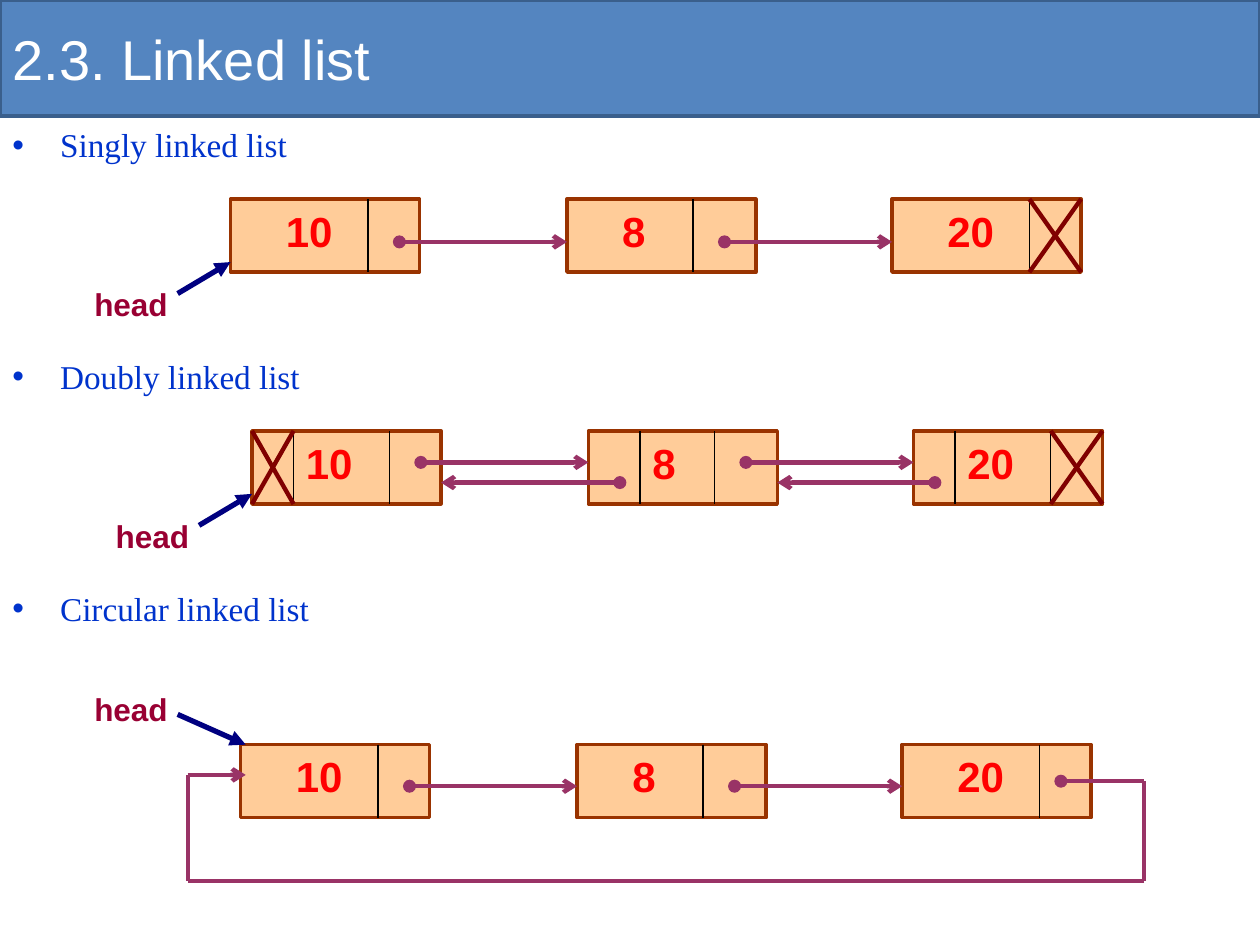
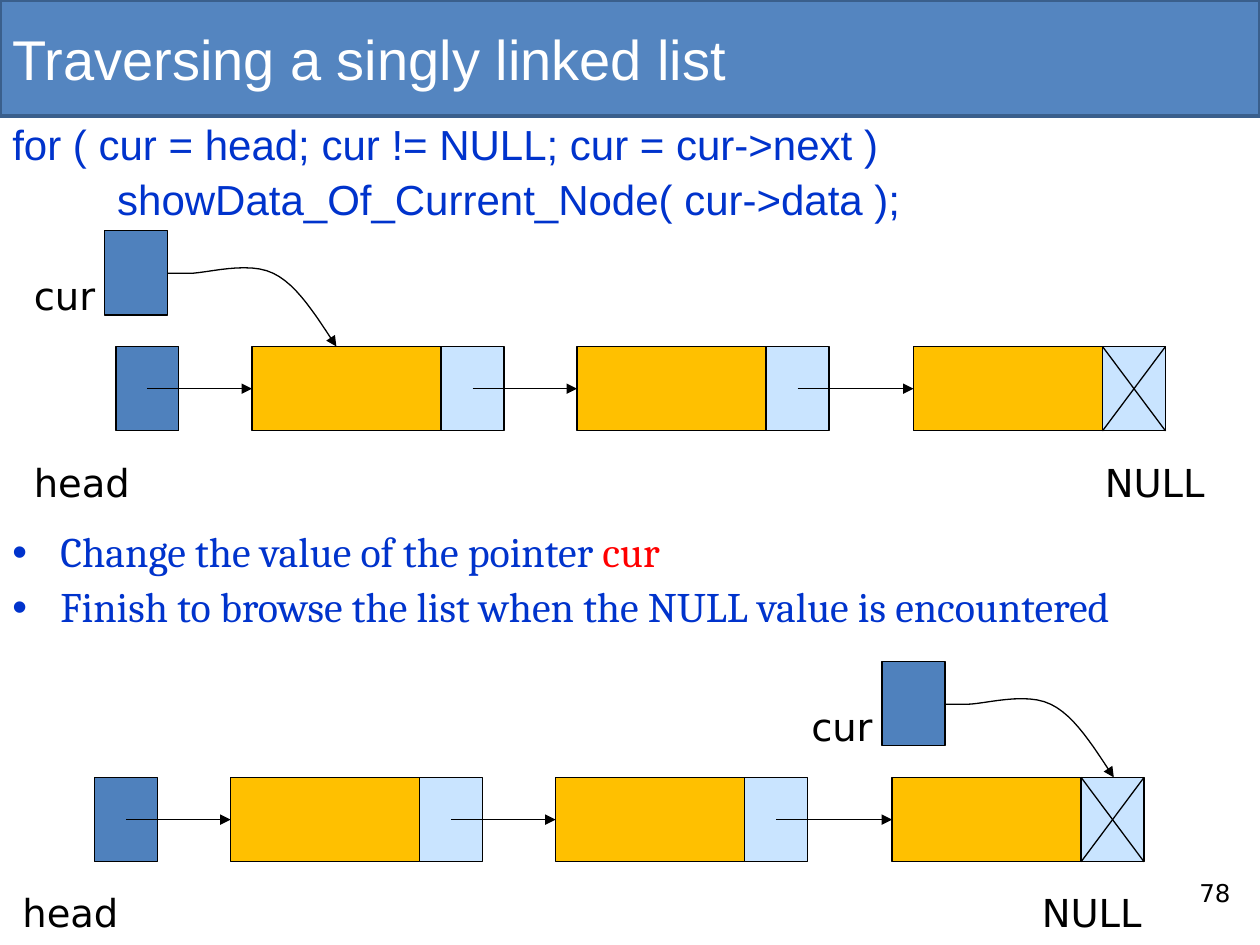
import dataclasses
import itertools

import lxml.etree
import pptx
import pptx.dml.color
import pptx.enum.shapes
import pptx.enum.text
import pptx.oxml.ns
import pptx.util

Inches = pptx.util.Inches
ALIGN = pptx.enum.text.PP_ALIGN
ANCHOR = pptx.enum.text.MSO_ANCHOR


@dataclasses.dataclass(frozen=True)
class Theme:
    band: str = "5485C0"
    band_edge: str = "3A5F8C"
    white: str = "FFFFFF"
    black: str = "000000"
    body: str = "0033CC"
    red: str = "FF0000"
    node_fill: str = "FFCC99"
    node_edge: str = "993300"
    link: str = "993366"
    null_cross: str = "800000"
    head_label: str = "990033"
    head_arrow: str = "000080"
    data_cell: str = "FFC000"
    next_cell: str = "C9E4FF"
    pointer_cell: str = "4F81BD"
    sans: str = "Arial"
    serif: str = "Times New Roman"
    bullet_serif: str = "Cambria"
    label_font: str = "DejaVu Sans"
    title_size: float = 32
    body_size: float = 24
    label_size: float = 22
    list_size: float = 19
    head_size: float = 18
    page_size: float = 14
    thin: float = 0.75
    edge: float = 2
    thick: float = 2.5
    head_width: float = 3


THEME = Theme()

NODE_WIDTH, NODE_HEIGHT = 1.5, 0.58
NODE_OFFSETS = (0, 2.67, 5.25)
NODE_VALUES = ("10", "8", "20")
NEXT_DIVIDERS = (1.09, 1.0, 1.09)
PREVIOUS_DIVIDERS = (0.33, 0.41, 0.33)

CELL_OFFSETS = (1.08, 3.66, 6.33)
DATA_WIDTH, POINTER_WIDTH, CELL_HEIGHT = 1.5, 0.5, 0.67


def rgb(color):
    return pptx.dml.color.RGBColor.from_string(color)


def add_element(parent, tag, **attributes):
    element = lxml.etree.SubElement(parent, pptx.oxml.ns.qn(tag))
    for name, value in attributes.items():
        element.set(name, str(value))
    return element


def add_text(slide, box, paragraphs, *, size, color, font=THEME.sans, bold=False,
             align=ALIGN.LEFT, anchor=ANCHOR.TOP, bullet=False, line_spacing=None,
             gap=0, inset=True):
    """Each paragraph is a string or a list of (text, color) runs."""
    shape = slide.shapes.add_textbox(*map(Inches, box))
    frame = shape.text_frame
    frame.word_wrap = True
    frame.vertical_anchor = anchor
    if not inset:
        frame.margin_left = frame.margin_right = 0
        frame.margin_top = frame.margin_bottom = 0
    for index, content in enumerate(paragraphs):
        paragraph = frame.add_paragraph() if index else frame.paragraphs[0]
        if bullet:
            properties = paragraph._p.get_or_add_pPr()
            properties.set("marL", str(Inches(0.38)))
            properties.set("indent", str(-Inches(0.38)))
            add_element(properties, "a:buFont", typeface=THEME.sans)
            add_element(properties, "a:buChar", char="•")
        paragraph.alignment = align
        if line_spacing:
            paragraph.line_spacing = line_spacing
        if index and gap:
            paragraph.space_before = pptx.util.Pt(gap)
        runs = [(content, color)] if isinstance(content, str) else content
        for text, run_color in runs:
            run = paragraph.add_run()
            run.text = text
            run.font.name = font
            run.font.size = pptx.util.Pt(size)
            run.font.bold = bold
            run.font.color.rgb = rgb(run_color)


def style_line(line, color, width, head=None, tail=None):
    line.color.rgb = rgb(color)
    line.width = pptx.util.Pt(width)
    properties = line._get_or_add_ln()
    for tag, kind in (("a:headEnd", head), ("a:tailEnd", tail)):
        if kind:
            add_element(properties, tag, type=kind)


def add_rectangle(slide, box, fill, edge=THEME.black, width=THEME.thin):
    shape = slide.shapes.add_shape(pptx.enum.shapes.MSO_SHAPE.RECTANGLE, *map(Inches, box))
    shape.shadow.inherit = False
    shape.fill.solid()
    shape.fill.fore_color.rgb = rgb(fill)
    style_line(shape.line, edge, width)


def add_line(slide, start, end, color=THEME.black, width=THEME.thin, head=None, tail=None):
    connector = slide.shapes.add_connector(
        pptx.enum.shapes.MSO_CONNECTOR.STRAIGHT, *map(Inches, (*start, *end)))
    style_line(connector.line, color, width, head, tail)
    add_element(connector._element.spPr, "a:effectLst")


def add_cross(slide, box, color=THEME.black, width=THEME.thin):
    left, top, box_width, height = box
    right, bottom = left + box_width, top + height
    add_line(slide, (left, top), (right, bottom), color, width)
    add_line(slide, (right, top), (left, bottom), color, width)


def add_link(slide, start, end):
    add_line(slide, start, end, THEME.link, THEME.thick, "oval", "arrow")


def add_title(slide, title):
    box = (0, 0, 10, 0.92)
    add_rectangle(slide, box, THEME.band, THEME.band_edge, THEME.edge)
    add_text(slide, box, [title], size=THEME.title_size, color=THEME.white,
             anchor=ANCHOR.MIDDLE)


def add_head(slide, label_left, label_top, start, end):
    add_text(slide, (label_left, label_top, 0.74, 0.35), ["head"], size=THEME.head_size,
             color=THEME.head_label, bold=True, align=ALIGN.CENTER,
             anchor=ANCHOR.MIDDLE, inset=False)
    add_line(slide, start, end, THEME.head_arrow, THEME.head_width, tail="triangle")


def add_head_below(slide, left, top):
    add_head(slide, left - 1.16, top + 0.66, (left - 0.42, top + 0.75), (left, top + 0.5))


def add_nodes(slide, left, top, link_drop, value_offsets=(0.34, 0.34, 0.34)):
    """Draw the three nodes with their values, next fields and forward links."""
    lefts = [left + offset for offset in NODE_OFFSETS]
    for node_left, value, divider, value_offset in zip(
            lefts, NODE_VALUES, NEXT_DIVIDERS, value_offsets):
        add_rectangle(slide, (node_left, top, NODE_WIDTH, NODE_HEIGHT),
                      THEME.node_fill, THEME.node_edge, THEME.edge)
        add_line(slide, (node_left + divider, top), (node_left + divider, top + NODE_HEIGHT))
        add_text(slide, (node_left + value_offset, top, 0.67, 0.5), [value],
                 size=THEME.body_size, color=THEME.red, bold=True)
    y = top + link_drop
    for (start, end), divider in zip(itertools.pairwise(lefts), NEXT_DIVIDERS):
        add_link(slide, (start + divider + 0.25, y), (end, y))


def add_null_cross(slide, left, top, width):
    add_cross(slide, (left, top, width, NODE_HEIGHT), THEME.null_cross, THEME.thick)


def add_last_null(slide, left, top):
    divider = NEXT_DIVIDERS[-1]
    add_null_cross(slide, left + NODE_OFFSETS[-1] + divider, top, NODE_WIDTH - divider)


def add_singly_list(slide, left, top):
    add_nodes(slide, left, top, 0.34)
    add_last_null(slide, left, top)
    add_head_below(slide, left, top)


def add_doubly_list(slide, left, top):
    add_nodes(slide, left, top, 0.25, PREVIOUS_DIVIDERS)
    lefts = [left + offset for offset in NODE_OFFSETS]
    for node_left, divider in zip(lefts, PREVIOUS_DIVIDERS):
        x = node_left + divider
        add_line(slide, (x, top), (x, top + NODE_HEIGHT))
    y = top + 0.41
    for (target, source), divider in zip(itertools.pairwise(lefts), PREVIOUS_DIVIDERS[1:]):
        add_link(slide, (source + divider - 0.16, y), (target + NODE_WIDTH, y))
    add_null_cross(slide, left, top, PREVIOUS_DIVIDERS[0])
    add_last_null(slide, left, top)
    add_head_below(slide, left, top)


def add_circular_list(slide, left, top):
    add_nodes(slide, left, top, 0.33)
    add_head(slide, left - 1.24, top - 0.46, (left - 0.5, top - 0.24), (left + 0.04, top))
    route = [(left + x, top + y) for x, y in (
        (6.51, 0.29), (7.17, 0.29), (7.17, 1.08), (-0.42, 1.08), (-0.42, 0.24), (0.04, 0.24))]
    segments = list(itertools.pairwise(route))
    for index, (start, end) in enumerate(segments):
        add_line(slide, start, end, THEME.link, THEME.thick,
                 head="oval" if index == 0 else None,
                 tail="arrow" if index == len(segments) - 1 else None)


def add_label(slide, left, top, text):
    add_text(slide, (left, top, 1.25, 0.47), [text], size=THEME.label_size,
             color=THEME.black, font=THEME.label_font)


def bezier_points(start, control_1, control_2, end, steps=12):
    for step in range(1, steps + 1):
        t = step / steps
        weights = ((1 - t) ** 3, 3 * t * (1 - t) ** 2, 3 * t * t * (1 - t), t ** 3)
        yield tuple(sum(weight * point[axis] for weight, point in
                        zip(weights, (start, control_1, control_2, end)))
                    for axis in (0, 1))


def add_current_pointer(slide, left, top):
    """Draw the cur cell and the curved arrow to the node it refers to."""
    add_rectangle(slide, (left, top, POINTER_WIDTH, CELL_HEIGHT), THEME.pointer_cell)
    add_label(slide, left - 0.66, top + 0.28, "cur")
    curve = [(left + POINTER_WIDTH + x, top + y) for x, y in (
        (0, 0.34), (0.02, 0.34), (0.03, 0.34), (0.17, 0.34), (0.31, 0.34),
        (0.64, 0.24), (0.84, 0.34), (1.03, 0.43), (1.18, 0.68), (1.34, 0.92))]
    points = itertools.chain.from_iterable(
        bezier_points(*curve[index:index + 4]) for index in (0, 3, 6))
    builder = slide.shapes.build_freeform(*map(Inches, curve[0]))
    builder.add_line_segments([tuple(map(Inches, point)) for point in points], close=False)
    shape = builder.convert_to_shape()
    shape.shadow.inherit = False
    shape.fill.background()
    style_line(shape.line, THEME.black, THEME.thin, tail="triangle")


def add_memory_row(slide, left, top, head_left, null_left):
    """Draw the head cell at left, top, and the three nodes it leads to."""
    add_rectangle(slide, (left, top, POINTER_WIDTH, CELL_HEIGHT), THEME.pointer_cell)
    data_lefts = [left + offset for offset in CELL_OFFSETS]
    next_lefts = [data_left + DATA_WIDTH for data_left in data_lefts]
    for data_left, next_left in zip(data_lefts, next_lefts):
        add_rectangle(slide, (data_left, top, DATA_WIDTH, CELL_HEIGHT), THEME.data_cell)
        add_rectangle(slide, (next_left, top, POINTER_WIDTH, CELL_HEIGHT), THEME.next_cell)
    y = top + CELL_HEIGHT / 2
    for source, target in zip([left, *next_lefts], data_lefts):
        add_line(slide, (source + POINTER_WIDTH / 2, y), (target, y), tail="triangle")
    add_cross(slide, (next_lefts[-1], top, POINTER_WIDTH, CELL_HEIGHT))
    add_label(slide, head_left, top + 0.84, "head")
    add_label(slide, null_left, top + 0.84, "NULL")


def build_list_types(slide):
    add_title(slide, "2.3. Linked list")
    for index, kind in enumerate(("Singly", "Doubly", "Circular")):
        add_text(slide, (0, 0.94 + 1.84 * index, 10, 0.42), [f"{kind} linked list"],
                 size=THEME.list_size, color=THEME.body, font=THEME.serif, bullet=True)
    add_singly_list(slide, 1.83, 1.58)
    add_doubly_list(slide, 2, 3.42)
    add_circular_list(slide, 1.91, 5.91)


def build_traversal(slide):
    add_title(slide, "Traversing a singly linked list")
    add_text(slide, (0, 0.94, 9, 1.11),
             ["for ( cur = head; cur != NULL; cur = cur->next )",
              "         showData_Of_Current_Node( cur->data );"],
             size=THEME.body_size, color=THEME.body, line_spacing=0.9, gap=5.5)
    add_memory_row(slide, 0.92, 2.75, 0.17, 8.67)
    add_current_pointer(slide, 0.83, 1.83)
    add_text(slide, (0, 4.17, 9.92, 0.99),
             [[("Change the value of the pointer ", THEME.body), ("cur", THEME.red)],
              "Finish to browse the list when the NULL value is encountered"],
             size=THEME.body_size, color=THEME.body, font=THEME.bullet_serif,
             bullet=True, line_spacing=0.9, gap=5.5)
    add_memory_row(slide, 0.75, 6.17, 0.08, 8.17)
    add_current_pointer(slide, 7, 5.25)
    add_text(slide, (9.42, 6.92, 0.5, 0.4), ["78"], size=THEME.page_size,
             color=THEME.black, font=THEME.label_font)


def main():
    presentation = pptx.Presentation()
    presentation.slide_width = Inches(10)
    presentation.slide_height = Inches(7.5)
    blank_layout = presentation.slide_layouts[6]
    for build in (build_list_types, build_traversal):
        build(presentation.slides.add_slide(blank_layout))
    presentation.save("out.pptx")


if __name__ == "__main__":
    main()
